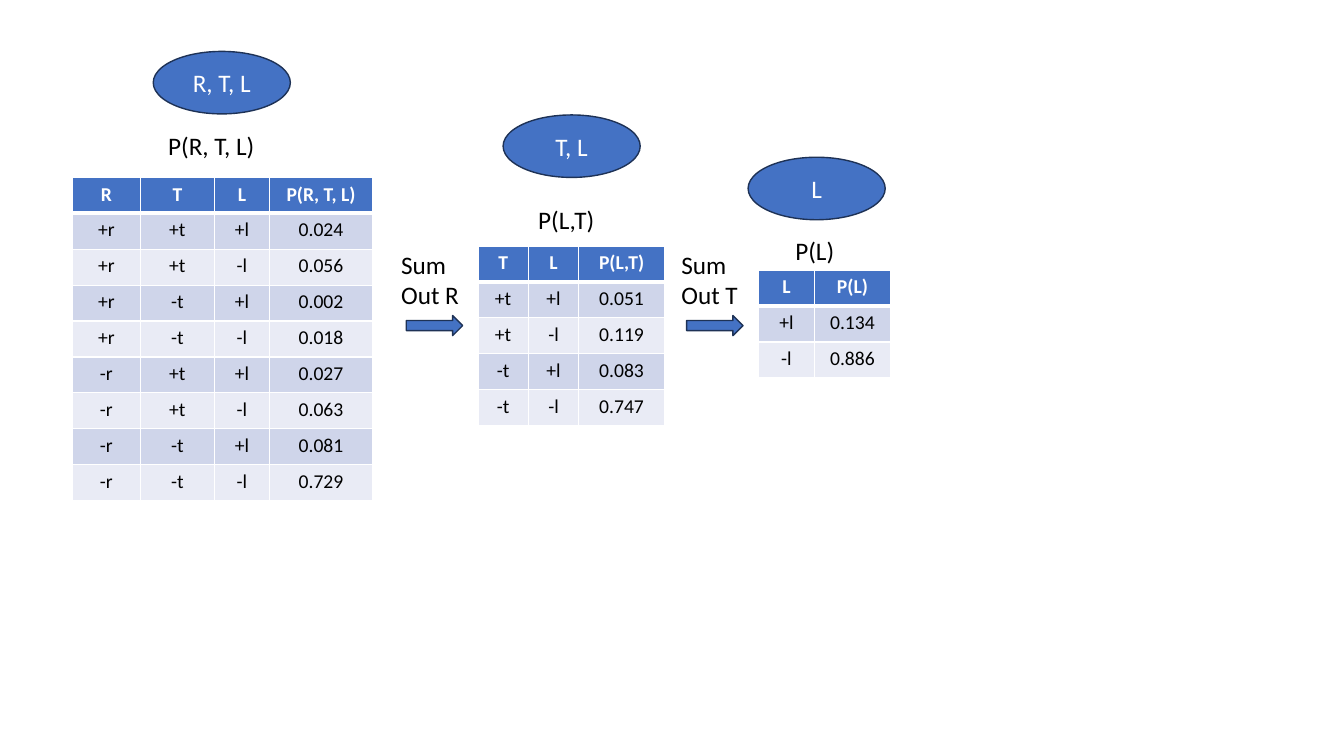
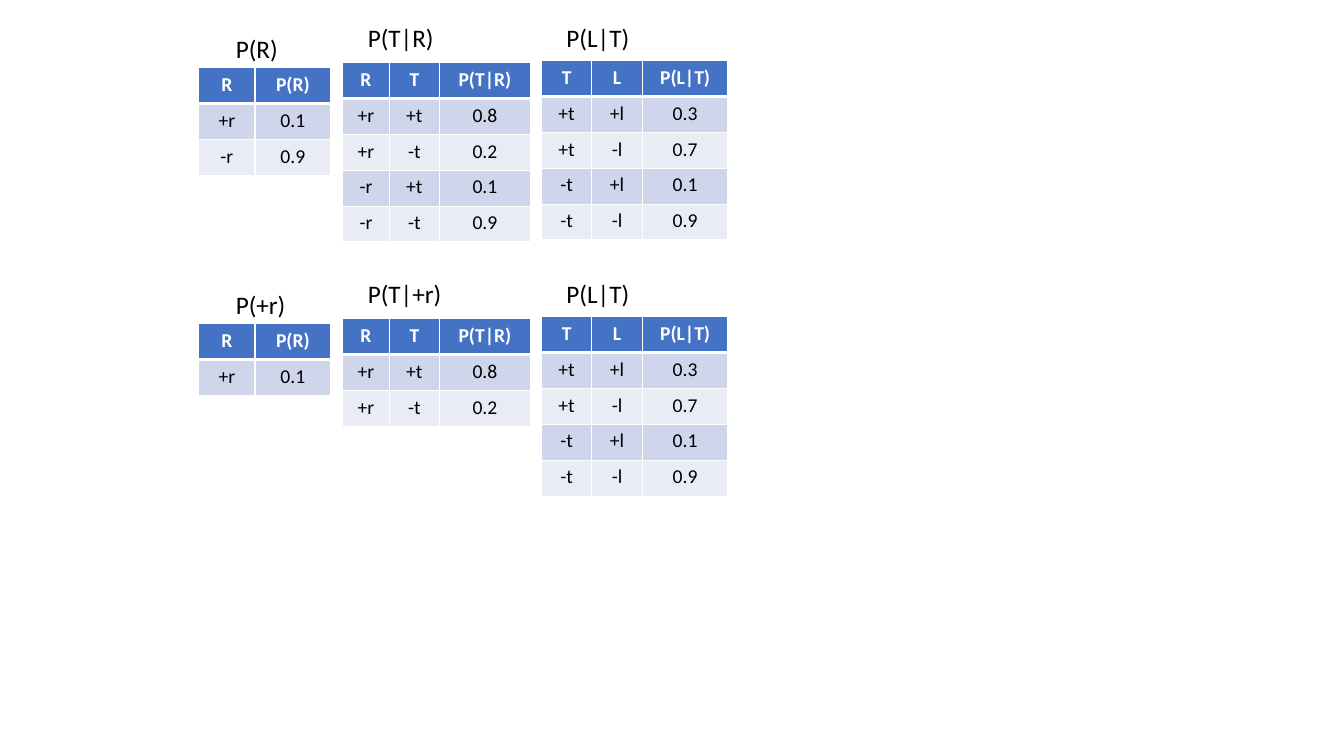
from itertools import product

from lxml import etree
from pptx import Presentation
from pptx.dml.color import RGBColor
from pptx.enum.shapes import MSO_SHAPE
from pptx.enum.text import MSO_ANCHOR, MSO_AUTO_SIZE, PP_ALIGN
from pptx.oxml.ns import qn
from pptx.util import Inches, Pt

OVAL = MSO_SHAPE.OVAL
RIGHT_ARROW = MSO_SHAPE.RIGHT_ARROW
MIDDLE = MSO_ANCHOR.MIDDLE
CENTER = PP_ALIGN.CENTER
LEFT = PP_ALIGN.LEFT
FIT_SHAPE = MSO_AUTO_SIZE.SHAPE_TO_FIT_TEXT
BLANK_LAYOUT = 6

BLUE = "4472C4"
OUTLINE = "1E3256"
BANDS = ("CFD5EA", "E9EBF5")
WHITE = "FFFFFF"
BLACK = "000000"
BODY = {"name": "Calibri", "size": Pt(18), "bold": False}
CELL = {**BODY, "size": Pt(14)}
HEADER = {**CELL, "bold": True}

ROW_HEIGHT = 1.07 / 3
CAPTION_HEIGHT = 0.4
EVIDENCE_DROP = 2.54


def color(hex_value):
    return RGBColor.from_string(hex_value)


def fill_with(target, hex_value):
    target.fill.solid()
    target.fill.fore_color.rgb = color(hex_value)


def write(frame, text, style, hex_value, align):
    frame.text = text
    for paragraph in frame.paragraphs:
        paragraph.alignment = align
        for key, value in style.items():
            setattr(paragraph.font, key, value)
        paragraph.font.color.rgb = color(hex_value)


def add_label(slide, left, top, width, height, text):
    frame = slide.shapes.add_textbox(
        Inches(left), Inches(top), Inches(width), Inches(height)).text_frame
    write(frame, text, BODY, BLACK, LEFT)
    frame.word_wrap = False
    frame.auto_size = FIT_SHAPE


def add_blue_shape(slide, kind, left, top, width, height):
    shape = slide.shapes.add_shape(
        kind, Inches(left), Inches(top), Inches(width), Inches(height))
    shape.shadow.inherit = False
    fill_with(shape, BLUE)
    shape.line.color.rgb = color(OUTLINE)
    shape.line.width = Pt(1)
    return shape


def add_borders(cell, row):
    widths = {"L": 1, "R": 1, "T": 3 if row == 1 else 1, "B": 3 if row == 0 else 1}
    properties = cell._tc.get_or_add_tcPr()
    for side, width in widths.items():
        line = etree.SubElement(properties, qn(f"a:ln{side}"), w=str(Pt(width)))
        solid = etree.SubElement(line, qn("a:solidFill"))
        etree.SubElement(solid, qn("a:srgbClr"), val=WHITE)


def add_probability_table(slide, left, top, widths, rows):
    table = slide.shapes.add_table(
        len(rows), len(widths), Inches(left), Inches(top),
        Inches(sum(widths)), Inches(ROW_HEIGHT * len(rows))).table
    for column, width in zip(table.columns, widths):
        column.width = Inches(width)
    for r, values in enumerate(rows):
        table.rows[r].height = Inches(ROW_HEIGHT)
        for c, value in enumerate(values):
            cell = table.cell(r, c)
            add_borders(cell, r)
            if r == 0:
                fill_with(cell, BLUE)
                write(cell.text_frame, value, HEADER, WHITE, CENTER)
            else:
                fill_with(cell, BANDS[(r - 1) % 2])
                write(cell.text_frame, value, CELL, BLACK, CENTER)


def factor_rows(variables, heading, probabilities, evidence=None):
    signs = product(*[(f"+{v.lower()}", f"-{v.lower()}") for v in variables])
    body = [(*row, p) for row, p in zip(signs, probabilities.split())]
    if evidence and evidence[1:].upper() in variables:
        body = [row for row in body if evidence in row]
    return [(*variables, heading), *body]


def add_factor(slide, left, top, caption, caption_box, widths, rows):
    dx, dy, caption_width = caption_box
    add_probability_table(slide, left, top, widths, rows)
    add_label(slide, left + dx, top + dy, caption_width, CAPTION_HEIGHT, caption)


def add_node(slide, left, top, variables):
    node = add_blue_shape(slide, OVAL, left, top, 1.36, 0.62)
    write(node.text_frame, ", ".join(variables), BODY, WHITE, CENTER)
    node.text_frame.vertical_anchor = MIDDLE


def add_sum_out(slide, left, top, variable):
    add_label(slide, left, top, 0.78, 0.71, f"Sum\nOut {variable}")
    add_blue_shape(slide, RIGHT_ARROW, left + 0.15, top + 0.71, 0.56, 0.2)


def build_elimination(slide):
    stages = [
        (0.72, 1.76, "RTL", "P(R, T, L)", (0.85, -0.52, 1.07), (0.8, -1.25),
         (0.67, 0.74, 0.54, 1.03),
         "0.024 0.056 0.002 0.018 0.027 0.063 0.081 0.729"),
        (4.74, 2.44, "TL", "P(L,T)", (0.5, -0.46, 0.76), (0.25, -1.3),
         (0.5, 0.5, 0.85), "0.051 0.119 0.083 0.747"),
        (7.52, 2.68, "L", "P(L)", (0.27, -0.39, 0.59), (-0.1, -1.12),
         (0.56, 0.75), "0.134 0.886"),
    ]
    for left, top, variables, caption, caption_box, node, widths, values in stages:
        add_factor(slide, left, top, caption, caption_box, widths,
                   factor_rows(variables, caption, values))
        add_node(slide, left + node[0], top + node[1], variables)
    for left, variable in ((3.88, "R"), (6.66, "T")):
        add_sum_out(slide, left, 2.42, variable)


def build_evidence(slide):
    factors = [
        (1.97, 0.67, "R", "P(R)", "P(+r)", (0.27, -0.39, 0.62),
         (0.56, 0.75), "0.1 0.9"),
        (3.4, 0.62, "RT", "P(T|R)", "P(T|+r)", (0.15, -0.45, 0.86),
         (0.46, 0.5, 0.9), "0.8 0.2 0.1 0.9"),
        (5.37, 0.6, "TL", "P(L|T)", "P(L|T)", (0.15, -0.43, 0.83),
         (0.5, 0.5, 0.85), "0.3 0.7 0.1 0.9"),
    ]
    for left, top, variables, prior, observed, caption_box, widths, values in factors:
        for drop, caption, evidence in ((0, prior, None),
                                        (EVIDENCE_DROP, observed, "+r")):
            dx, dy, width = caption_box
            extra = 0.08 if caption != prior else 0
            add_factor(slide, left, top + drop, caption, (dx, dy, width + extra),
                       widths, factor_rows(variables, prior, values, evidence))


def main():
    deck = Presentation()
    deck.slide_width = Inches(13.33)
    deck.slide_height = Inches(7.5)
    for build in (build_elimination, build_evidence):
        build(deck.slides.add_slide(deck.slide_layouts[BLANK_LAYOUT]))
    deck.save("out.pptx")


if __name__ == "__main__":
    main()
